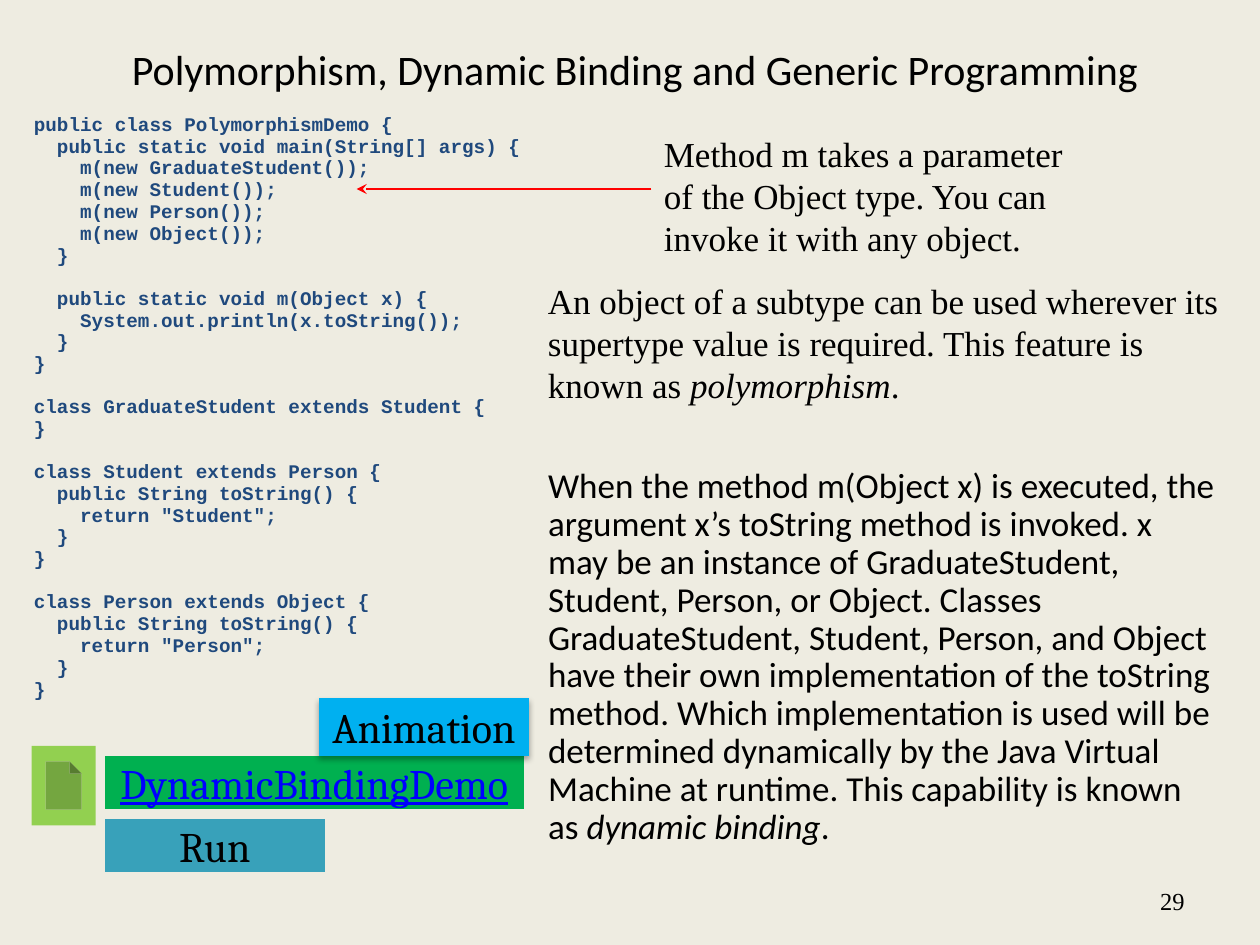
"""Build the slide on polymorphism, dynamic binding and generic programming."""
from lxml.etree import SubElement
from pptx import Presentation
from pptx.dml.color import RGBColor
from pptx.enum.shapes import MSO_CONNECTOR, MSO_SHAPE
from pptx.enum.text import MSO_ANCHOR, PP_ALIGN
from pptx.oxml import parse_xml
from pptx.oxml.ns import nsdecls, qn
from pptx.util import Inches, Pt

BEIGE = RGBColor(0xEE, 0xEC, 0xE1)
BLACK = RGBColor(0x00, 0x00, 0x00)
NAVY = RGBColor(0x1F, 0x49, 0x7D)
RED = RGBColor(0xFF, 0x00, 0x00)
LINK_BLUE = RGBColor(0x00, 0x00, 0xFF)
GREEN = RGBColor(0x00, 0xB0, 0x50)
TEAL = RGBColor(0x38, 0xA1, 0xBA)
LIME = RGBColor(0x92, 0xD0, 0x50)
SKY = RGBColor(0x00, 0xB0, 0xF0)

TITLE = "Polymorphism, Dynamic Binding and Generic Programming"
BODY = [
    ("When the method m(Object x) is executed, the argument x’s toString method is "
     "invoked. x may be an instance of GraduateStudent, Student, Person, or Object. "
     "Classes GraduateStudent, Student, Person, and Object have their own "
     "implementation of the toString method. Which implementation is used will be "
     "determined dynamically by the Java Virtual Machine at runtime. This capability "
     "is known as ", False),
    ("dynamic binding", True),
    (".", False),
]
CODE = """public class PolymorphismDemo {
  public static void main(String[] args) {
    m(new GraduateStudent());
    m(new Student());
    m(new Person());
    m(new Object());
  }

  public static void m(Object x) {
    System.out.println(x.toString());
  }
}

class GraduateStudent extends Student {
}

class Student extends Person {
  public String toString() {
    return "Student";
  }
}

class Person extends Object {
  public String toString() {
    return "Person";
  }
}"""
NOTES = [
    ((5.17, 1, 3.58, 1.1),
     [("Method m takes a parameter of the Object type. You can invoke it with any object.",
       False)]),
    ((4.25, 2.17, 5.58, 1.1),
     [("An object of a subtype can be used wherever its supertype value is required. "
       "This feature is known as ", False), ("polymorphism", True), (".", False)]),
]
BLANK, DOCUMENT = MSO_SHAPE.ACTION_BUTTON_CUSTOM, MSO_SHAPE.ACTION_BUTTON_DOCUMENT
BUTTONS = [
    (BLANK, (0.83, 6, 3.33, 0.42), GREEN, "DynamicBindingDemo", LINK_BLUE),
    (BLANK, (0.83, 6.5, 1.75, 0.42), TEAL, "Run", BLACK),
    (DOCUMENT, (0.25, 5.92, 0.51, 0.63), LIME, "", BLACK),
    (BLANK, (2.53, 5.54, 1.67, 0.46), SKY, "Animation", BLACK),
]
TITLE_FONT = {"name": "Calibri", "size": Pt(24)}
BODY_FONT = {"name": "Calibri", "size": Pt(20)}
NOTE_FONT = {"name": "Times New Roman", "size": Pt(20)}
NUMBER_FONT = {"name": "Times New Roman", "size": Pt(14)}
CODE_FONT = {"name": "Courier New", "size": Pt(11), "bold": True}
BUTTON_FONT = {"name": "Cambria", "size": Pt(24)}
LINE_GAP, BLOCK_GAP = Pt(5.86), Pt(17.95)


def place(shape, box):
    for side, value in zip(("left", "top", "width", "height"), box):
        setattr(shape, side, Inches(value))


def write(paragraph, runs, style, color=BLACK, **layout):
    for name, value in layout.items():
        setattr(paragraph, name, value)
    for text, italic in runs:
        run = paragraph.add_run()
        run.text = text
        for name, value in {**style, "italic": italic}.items():
            setattr(run.font, name, value)
        run.font.color.rgb = color


def add_text_box(slide, box):
    frame = slide.shapes.add_textbox(*map(Inches, box)).text_frame
    frame.word_wrap = True
    return frame


def fill_placeholders(slide):
    title, body = slide.placeholders
    place(title, (0.25, 0.17, 9.58, 0.75))
    title.text_frame.vertical_anchor = MSO_ANCHOR.MIDDLE
    write(title.text_frame.paragraphs[0], [(TITLE, False)], TITLE_FONT,
          alignment=PP_ALIGN.CENTER)
    place(body, (4.25, 3.67, 5.5, 3.17))
    paragraph = body.text_frame.paragraphs[0]
    write(paragraph, BODY, BODY_FONT, line_spacing=0.9, space_before=Pt(0))
    properties = paragraph._p.get_or_add_pPr()
    properties.set("marL", "0")
    properties.set("indent", "0")
    SubElement(properties, qn("a:buNone"))


def add_code(slide):
    frame = add_text_box(slide, (0.17, 0.92, 4.08, 5.03))
    paragraph, gap = frame.paragraphs[0], Pt(0)
    for block in CODE.split("\n\n"):
        for line in block.split("\n"):
            if gap:
                paragraph = frame.add_paragraph()
            write(paragraph, [(line, False)], CODE_FONT, NAVY,
                  line_spacing=0.5, space_before=gap)
            gap = LINE_GAP
        gap = BLOCK_GAP


def add_arrow(slide):
    arrow = slide.shapes.add_connector(
        MSO_CONNECTOR.STRAIGHT, *map(Inches, (5.17, 1.5, 2.83, 1.5)))
    arrow.line.color.rgb = RED
    arrow.line.width = Pt(1)
    SubElement(arrow.line._get_or_add_ln(), qn("a:tailEnd"), type="stealth")
    SubElement(arrow._element.spPr, qn("a:effectLst"))


def add_button(slide, kind, box, color, label, label_color):
    button = slide.shapes.add_shape(kind, *map(Inches, box))
    button.fill.solid()
    button.fill.fore_color.rgb = color
    button.line.fill.background()
    button.shadow.inherit = False
    if label:
        frame = button.text_frame
        frame.word_wrap = False
        frame.vertical_anchor = MSO_ANCHOR.MIDDLE
        style = {**BUTTON_FONT, "underline": label_color == LINK_BLUE}
        write(frame.paragraphs[0], [(label, False)], style, label_color,
              alignment=PP_ALIGN.CENTER)
    return button


def add_shadow(shape):
    effects = shape._element.spPr.find(qn("a:effectLst"))
    effects.append(parse_xml(
        f'<a:outerShdw {nsdecls("a")} blurRad="{Pt(3.5)}" dist="{Pt(2.2)}" dir="5400000" '
        'rotWithShape="0"><a:srgbClr val="000000"><a:alpha val="32000"/></a:srgbClr>'
        '</a:outerShdw>'))


def main():
    presentation = Presentation()
    presentation.slide_width, presentation.slide_height = Inches(10), Inches(7.5)
    slide = presentation.slides.add_slide(presentation.slide_layouts[1])
    slide.background.fill.solid()
    slide.background.fill.fore_color.rgb = BEIGE
    fill_placeholders(slide)
    number = add_text_box(slide, (7.17, 6.95, 2.33, 0.4))
    number.vertical_anchor = MSO_ANCHOR.MIDDLE
    write(number.paragraphs[0], [("29", False)], NUMBER_FONT, alignment=PP_ALIGN.RIGHT)
    add_code(slide)
    for box, runs in NOTES:
        write(add_text_box(slide, box).paragraphs[0], runs, NOTE_FONT)
    add_arrow(slide)
    buttons = [add_button(slide, *button) for button in BUTTONS]
    add_shadow(buttons[-1])
    presentation.save("out.pptx")


if __name__ == "__main__":
    main()
